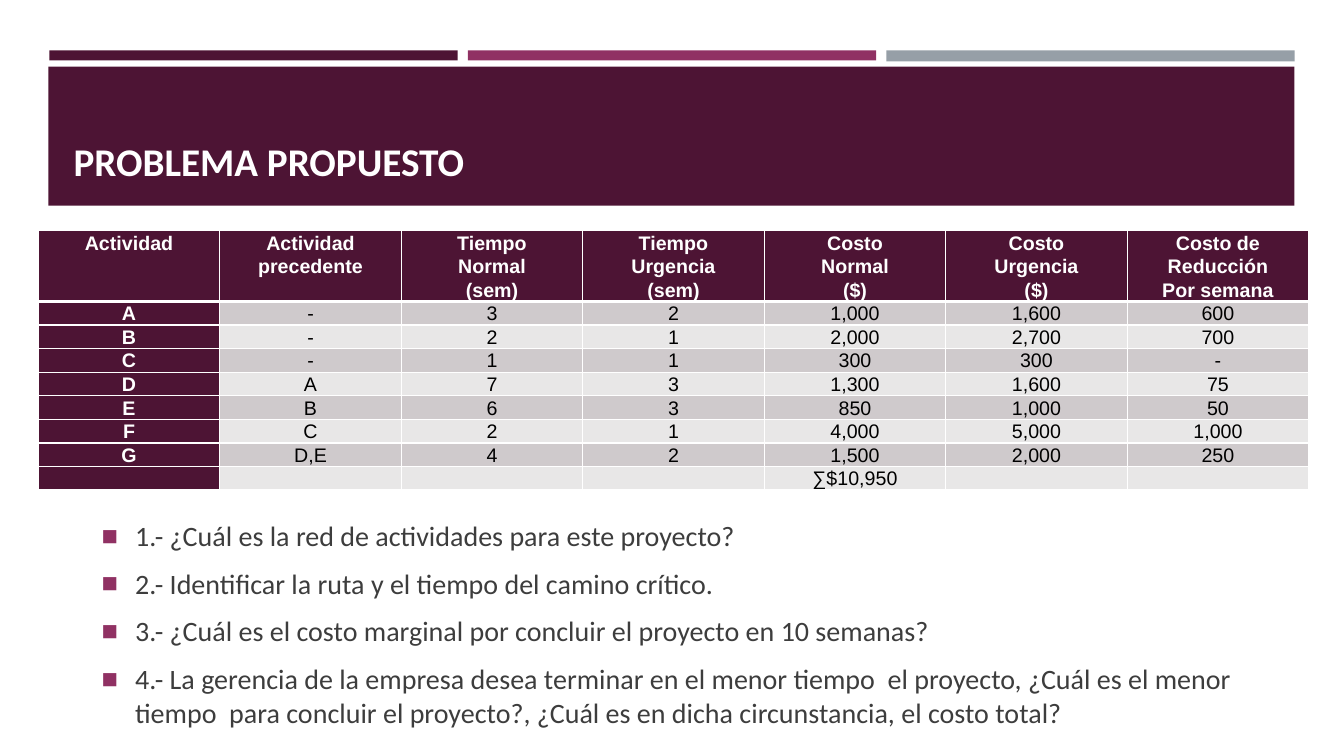
import dataclasses

import lxml.etree
import pptx
import pptx.dml.color
import pptx.enum.shapes
import pptx.enum.text
import pptx.oxml
import pptx.oxml.ns
import pptx.util

Inches = pptx.util.Inches
Pt = pptx.util.Pt

COLORS = {
    "plum": "4D1434",
    "magenta": "903163",
    "slate": "969FA7",
    "white": "FFFFFF",
    "black": "000000",
    "body": "3D3D3D",
    "odd_row": "CFCACC",
    "even_row": "E8E7E7",
}

HEADERS = (
    "Actividad",
    "Actividad\nprecedente",
    "Tiempo\nNormal\n(sem)",
    "Tiempo\nUrgencia\n(sem)",
    "Costo\nNormal\n($)",
    "Costo\nUrgencia\n($)",
    "Costo de Reducción\nPor semana",
)
ACTIVITIES = (
    ("A", "-", "3", "2", "1,000", "1,600", "600"),
    ("B", "-", "2", "1", "2,000", "2,700", "700"),
    ("C", "-", "1", "1", "300", "300", "-"),
    ("D", "A", "7", "3", "1,300", "1,600", "75"),
    ("E", "B", "6", "3", "850", "1,000", "50"),
    ("F", "C", "2", "1", "4,000", "5,000", "1,000"),
    ("G", "D,E", "4", "2", "1,500", "2,000", "250"),
    ("", "", "", "", "∑$10,950", "", ""),
)
QUESTIONS = (
    "1.- ¿Cuál es la red de actividades para este proyecto?",
    "2.- Identificar la ruta y el tiempo del camino crítico.",
    "3.- ¿Cuál es el costo marginal por concluir el proyecto en 10 semanas?",
    "4.- La gerencia de la empresa desea terminar en el menor tiempo  el proyecto, "
    "¿Cuál es el menor tiempo  para concluir el proyecto?, "
    "¿Cuál es en dicha circunstancia, el costo total?",
)


@dataclasses.dataclass(frozen=True)
class Band:
    left: float
    top: float
    width: float
    height: float
    color: str


BANDS = (
    Band(0.49, 0.5, 4.05, 0.1, "plum"),
    Band(4.64, 0.5, 4.05, 0.1, "magenta"),
    Band(8.79, 0.5, 4.05, 0.11, "slate"),
    Band(0.48, 0.66, 12.36, 1.38, "plum"),
)


def rgb(name: str) -> pptx.dml.color.RGBColor:
    return pptx.dml.color.RGBColor.from_string(COLORS[name])


def set_font(paragraph, face: str, size: float, color: str, bold: bool = False) -> None:
    paragraph.font.name = face
    paragraph.font.size = Pt(size)
    paragraph.font.bold = bold
    paragraph.font.color.rgb = rgb(color)


def add_band(slide, band: Band) -> None:
    """Draw a band behind the placeholders."""
    shape = slide.shapes.add_shape(
        pptx.enum.shapes.MSO_SHAPE.RECTANGLE,
        Inches(band.left), Inches(band.top), Inches(band.width), Inches(band.height),
    )
    shape.shadow.inherit = False
    shape.fill.solid()
    shape.fill.fore_color.rgb = rgb(band.color)
    shape.line.fill.background()
    slide.shapes._spTree.insert(2, shape._element)


def place_text(placeholder, left: float, top: float, width: float, height: float):
    """Move a placeholder and return its bottom-anchored text frame."""
    placeholder.left, placeholder.top = Inches(left), Inches(top)
    placeholder.width, placeholder.height = Inches(width), Inches(height)
    frame = placeholder.text_frame
    frame.auto_size = pptx.enum.text.MSO_AUTO_SIZE.NONE
    frame.word_wrap = True
    frame.vertical_anchor = pptx.enum.text.MSO_ANCHOR.BOTTOM
    return frame


def add_bullet(paragraph) -> None:
    properties = paragraph._p.get_or_add_pPr()
    properties.set("marL", str(Inches(0.33)))
    properties.set("indent", str(-Inches(0.33)))
    namespace = pptx.oxml.ns.nsdecls("a")
    for xml in (
        f'<a:buClr {namespace}><a:srgbClr val="{COLORS["magenta"]}"/></a:buClr>',
        f'<a:buSzPct {namespace} val="92000"/>',
        f'<a:buChar {namespace} char="◼"/>',
    ):
        properties.append(pptx.oxml.parse_xml(xml))


def set_borders(cell, bottom_width: float) -> None:
    properties = cell._tc.get_or_add_tcPr()
    widths = {"lnL": 1, "lnR": 1, "lnT": 1, "lnB": bottom_width}
    for position, (side, width) in enumerate(widths.items()):
        line = lxml.etree.Element(pptx.oxml.ns.qn(f"a:{side}"), w=str(Pt(width)))
        fill = lxml.etree.SubElement(line, pptx.oxml.ns.qn("a:solidFill"))
        lxml.etree.SubElement(fill, pptx.oxml.ns.qn("a:srgbClr"), val=COLORS["white"])
        properties.insert(position, line)


def fill_cell(cell, text: str, row: int, column: int) -> None:
    is_heading = row == 0 or column == 0
    stripe = "odd_row" if row % 2 else "even_row"
    cell.fill.solid()
    cell.fill.fore_color.rgb = rgb("plum" if is_heading else stripe)
    cell.margin_left = cell.margin_right = Inches(0.07)
    cell.margin_top = cell.margin_bottom = 0
    set_borders(cell, 3 if row == 0 else 1)
    cell.text_frame.text = text
    for paragraph in cell.text_frame.paragraphs:
        paragraph.alignment = pptx.enum.text.PP_ALIGN.CENTER
        paragraph.line_spacing = 1.07
        set_font(paragraph, "Arial", 14, "white" if is_heading else "black", is_heading)
        if not text:
            paragraph._p.get_or_add_endParaRPr().set("sz", "1400")


def add_activity_table(slide) -> None:
    rows = (HEADERS, *ACTIVITIES)
    table = slide.shapes.add_table(
        len(rows), len(HEADERS), Inches(0.38), Inches(2.29), Inches(12.57), Inches(2.1)
    ).table
    for column in table.columns:
        column.width = Inches(1.8)
    for row, texts in enumerate(rows):
        table.rows[row].height = Inches(0.19 if row else 0.58)
        for column, text in enumerate(texts):
            fill_cell(table.cell(row, column), text, row, column)


def main() -> None:
    presentation = pptx.Presentation()
    presentation.slide_width = Inches(13.33)
    presentation.slide_height = Inches(7.5)
    slide = presentation.slides.add_slide(presentation.slide_layouts[1])

    for band in BANDS:
        add_band(slide, band)

    heading = place_text(slide.shapes.title, 0.63, 0.8, 12.06, 1.08)
    heading.text = "PROBLEMA PROPUESTO"
    heading.paragraphs[0].alignment = pptx.enum.text.PP_ALIGN.LEFT
    set_font(heading.paragraphs[0], "Calibri", 28, "white", True)

    questions = place_text(slide.placeholders[1], 0.91, 4.5, 11.5, 2.78)
    questions.text = "\n".join(QUESTIONS)
    for question in questions.paragraphs:
        add_bullet(question)
        question.space_before = Pt(10)
        set_font(question, "Calibri", 20, "body")

    add_activity_table(slide)
    presentation.save("out.pptx")


if __name__ == "__main__":
    main()
